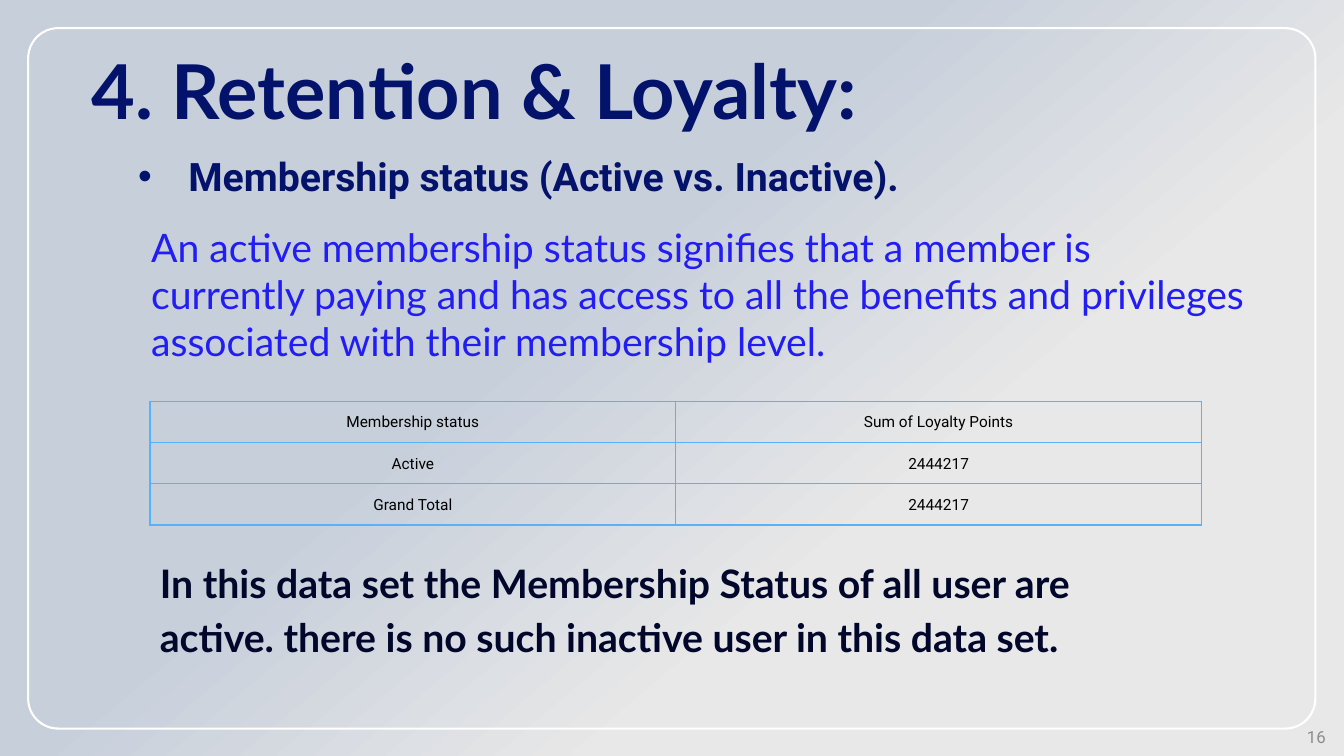
from lxml import etree
from pptx import Presentation
from pptx.dml.color import RGBColor
from pptx.enum.shapes import MSO_SHAPE as Shape
from pptx.enum.text import MSO_ANCHOR as Anchor, PP_ALIGN as Align
from pptx.oxml.ns import qn
from pptx.util import Cm, Pt

NAVY = RGBColor(0x03, 0x12, 0x6A)
BLUE = RGBColor(0x22, 0x1D, 0xF2)
INK = RGBColor(0x01, 0x07, 0x2B)
BLACK = RGBColor(0, 0, 0)
GREY = RGBColor(0x8C, 0x8C, 0x8C)
WHITE = RGBColor(0xFF, 0xFF, 0xFF)
PALE_GREY = RGBColor(0xE8, 0xE8, 0xE8)
PALE_BLUE = RGBColor(0xC7, 0xCF, 0xDB)
SKY = RGBColor(0x55, 0xB3, 0xFD)


def style(paragraph, font_name, size, color, bold=False):
    font = paragraph.font
    font.name, font.size, font.bold = font_name, Pt(size), bold
    font.color.rgb = color


def add_text(left, top, width, height, text):
    box = slide.shapes.add_textbox(Cm(left), Cm(top), Cm(width), Cm(height))
    box.text_frame.word_wrap = True
    paragraph = box.text_frame.paragraphs[0]
    paragraph.text = text
    return paragraph, box.text_frame


prs = Presentation()
prs.slide_width, prs.slide_height = Cm(33.87), Cm(19.05)
slide = prs.slides.add_slide(prs.slide_layouts[6])

# Background gradient, from bottom right to top left
background = slide.background.fill
background.gradient()
background.gradient_angle = 130
for stop, position, color in zip(background.gradient_stops, (0.33, 0.59), (PALE_GREY, PALE_BLUE)):
    stop.position = position
    stop.color.rgb = color

# Rounded frame
frame = slide.shapes.add_shape(Shape.ROUNDED_RECTANGLE, Cm(0.71), Cm(0.71), Cm(32.44), Cm(17.65))
frame.adjustments[0] = 0.043
frame.shadow.inherit = False
frame.fill.background()
frame.line.color.rgb = WHITE
frame.line.width = Pt(1.5)

# Page number
page_number, page_frame = add_text(26.04, 18.24, 7.62, 0.64, "16")
page_frame.vertical_anchor = Anchor.MIDDLE
page_number.alignment = Align.RIGHT
style(page_number, "Roboto", 12, GREY)

# Title
title, _ = add_text(2.06, 0.97, 30.23, 2.57, "4. Retention & Loyalty:")
style(title, "Lato", 54, NAVY, bold=True)

# Bulleted topic
topic, _ = add_text(3.23, 3.71, 22.35, 1.45, "Membership status (Active vs. Inactive).")
topic_props = topic._p.get_or_add_pPr()
topic_props.set("marL", str(Cm(1.27)))
topic_props.set("indent", str(-Cm(1.27)))
etree.SubElement(topic_props, qn("a:buFont"), typeface="Arial")
etree.SubElement(topic_props, qn("a:buChar"), char="•")
style(topic, "Roboto", 28, NAVY, bold=True)

# Explanation
explanation, _ = add_text(
    3.56, 5.49, 28.19, 3.84,
    "An active membership status signifies that a member is currently paying and has access "
    "to all the benefits and privileges associated with their membership level.")
style(explanation, "Lato", 28, BLUE)

# Conclusion
conclusion, _ = add_text(
    3.78, 13.79, 26.52, 2.95,
    "In this data set the Membership Status of all user are active. "
    "there is no such inactive user in this data set.")
conclusion.line_spacing = 1.15
conclusion.space_after = Pt(8)
style(conclusion, "Lato", 28, INK, bold=True)

# Loyalty points table
loyalty_rows = [
    ("Membership status", "Sum of Loyalty Points"),
    ("Active", "2444217"),
    ("Grand Total", "2444217"),
]
loyalty = slide.shapes.add_table(3, 2, Cm(3.78), Cm(10.11), Cm(26.5), Cm(3.12)).table
loyalty.first_row = loyalty.horz_banding = False
for r, values in enumerate(loyalty_rows):
    loyalty.rows[r].height = Cm(1.04)
    for c, value in enumerate(values):
        cell = loyalty.cell(r, c)
        cell.text = value
        cell.vertical_anchor = Anchor.MIDDLE
        cell.margin_left = cell.margin_right = cell.margin_top = Cm(0.03)
        cell.margin_bottom = 0
        paragraph = cell.text_frame.paragraphs[0]
        paragraph.alignment = Align.CENTER
        style(paragraph, "Roboto", 11, BLACK)
        # Borders come before the fill in the cell properties
        cell_props = cell._tc.get_or_add_tcPr()
        for side in ("a:lnL", "a:lnR", "a:lnT", "a:lnB"):
            border = etree.SubElement(cell_props, qn(side), w=str(Pt(1)))
            border_fill = etree.SubElement(border, qn("a:solidFill"))
            etree.SubElement(border_fill, qn("a:srgbClr"), val=str(SKY))
        cell.fill.background()

prs.save("out.pptx")
